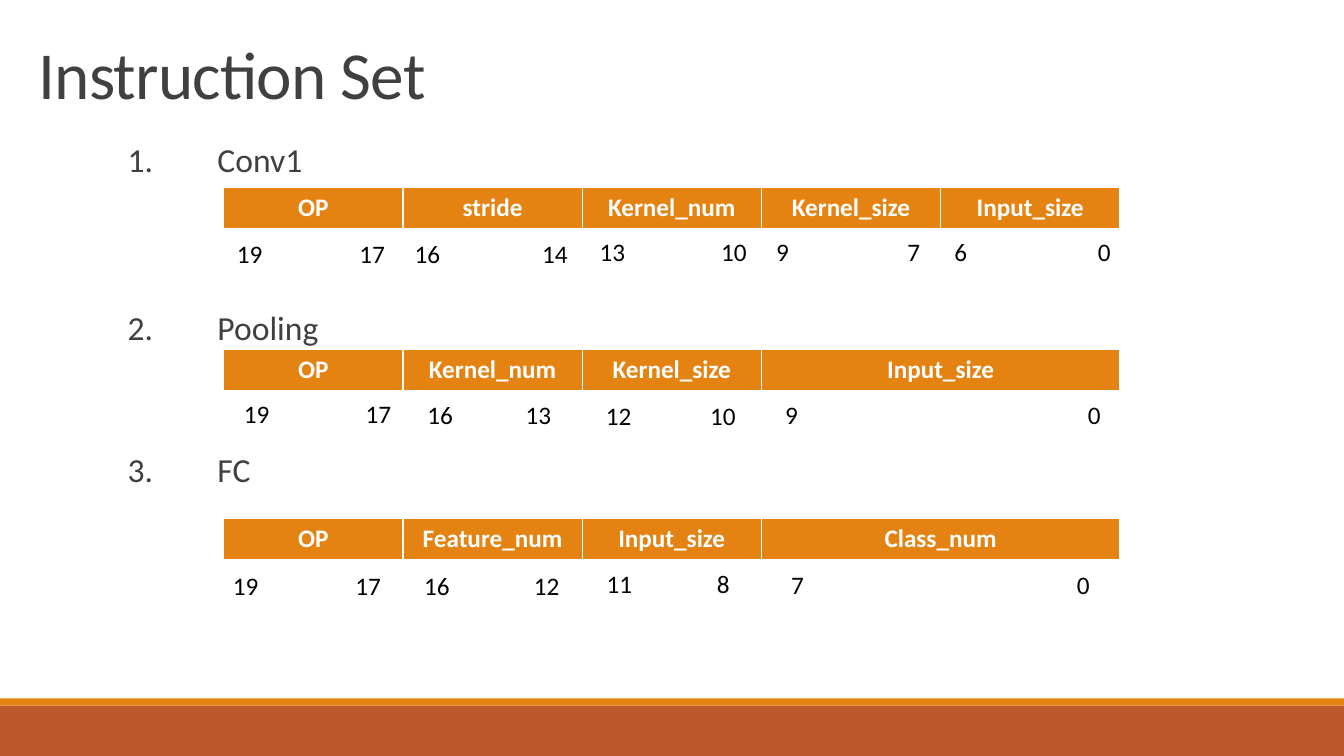
from dataclasses import dataclass

from lxml import etree
from pptx import Presentation
from pptx import util as u
from pptx.dml.color import RGBColor
from pptx.enum import shapes, text
from pptx.oxml.ns import qn


@dataclass(frozen=True)
class Theme:
    """Colours, font and type sizes of the deck."""
    accent: str = "E48312"
    footer: str = "BD582C"
    ink: str = "404040"
    bits: str = "000000"
    light: str = "FFFFFF"
    font: str = "Calibri"
    title_size: int = 48
    heading_size: int = 24
    field_size: int = 18


class SlideBuilder:
    """Holds the style and the current slide, and draws each kind of element."""

    def __init__(self, page, theme):
        self.page = page
        self.theme = theme

    def apply(self, target, **values):
        for name, value in values.items():
            setattr(target, name, value)

    def add_span(self, para, words, size, color, bold=False):
        span = para.add_run()
        span.text = words
        self.apply(span.font, name=self.theme.font, size=u.Pt(size), bold=bold)
        span.font.color.rgb = RGBColor.from_string(color)
        return span

    def title(self, words, left, top, width, height):
        box = self.page.shapes.title
        self.apply(box, left=u.Cm(left), top=u.Cm(top), width=u.Cm(width), height=u.Cm(height))
        self.apply(box.text_frame, word_wrap=True, vertical_anchor=text.MSO_ANCHOR.BOTTOM)
        para = box.text_frame.paragraphs[0]
        self.apply(para, alignment=text.PP_ALIGN.LEFT, line_spacing=0.85)
        span = self.add_span(para, words, self.theme.title_size, self.theme.ink)
        span.font._element.set("spc", "-50")

    def bar(self, top, height, color):
        bar = self.page.shapes.add_shape(
            shapes.MSO_SHAPE.RECTANGLE, 0, u.Cm(top), u.Cm(33.87), u.Cm(height))
        bar.shadow.inherit = False
        bar.fill.solid()
        bar.fill.fore_color.rgb = RGBColor.from_string(color)
        bar.line.fill.background()

    def text_box(self, left, top, width, height, **margins):
        box = self.page.shapes.add_textbox(u.Cm(left), u.Cm(top), u.Cm(width), u.Cm(height))
        self.apply(box.text_frame, word_wrap=True, **margins)
        return box.text_frame

    def headings(self, entries, left, top, width, height, hang):
        frame = self.text_box(left, top, width, height, margin_left=0, margin_right=0)
        for number, (words, gap) in enumerate(entries, 1):
            para = frame.paragraphs[0] if number == 1 else frame.add_paragraph()
            self.apply(para, line_spacing=0.9, space_before=u.Pt(gap), space_after=u.Pt(2))
            properties = para._p.get_or_add_pPr()
            properties.set("marL", str(u.Cm(hang)))
            properties.set("indent", str(-u.Cm(hang)))
            self.add_span(para, f"{number}.\t{words}", self.theme.heading_size, self.theme.ink)

    def field_table(self, names, left, top, width, height, units=5):
        frame = self.page.shapes.add_table(
            1, len(names), u.Cm(left), u.Cm(top), u.Cm(width), u.Cm(height))
        table = frame.table
        unit = width / units
        for index, name in enumerate(names):
            last = index == len(names) - 1
            table.columns[index].width = u.Cm(unit * (units - index if last else 1))
            cell = table.cell(0, index)
            cell.fill.solid()
            cell.fill.fore_color.rgb = RGBColor.from_string(self.theme.accent)
            para = cell.text_frame.paragraphs[0]
            para.alignment = text.PP_ALIGN.CENTER
            self.add_span(para, name, self.theme.field_size, self.theme.light, bold=True)

    def bit_range(self, high, low, start, end, top):
        inset = 0.25
        frame = self.text_box(start - inset, top, end - start + 3 * inset, 1.03,
                              margin_left=u.Cm(inset), margin_right=u.Cm(inset))
        para = frame.paragraphs[0]
        stops = etree.SubElement(para._p.get_or_add_pPr(), qn("a:tabLst"))
        etree.SubElement(stops, qn("a:tab"), pos=str(u.Cm(end - start)), algn="r")
        self.add_span(para, f"{high}\t{low}", self.theme.field_size, self.theme.bits)


HEADINGS = [("Conv1", 0), ("Pooling", 91.5), ("FC", 73.5)]

INSTRUCTIONS = [
    (4.72, [("OP", 19, 17, 5.97, 9.7, 5.87),
            ("stride", 16, 14, 10.45, 14.31, 5.87),
            ("Kernel_num", 13, 10, 15.11, 18.82, 5.84),
            ("Kernel_size", 9, 7, 19.56, 23.19, 5.84),
            ("Input_size", 6, 0, 24.05, 27.99, 5.84)]),
    (8.81, [("OP", 19, 17, 6.15, 9.86, 9.91),
            ("Kernel_num", 16, 13, 10.77, 13.89, 9.95),
            ("Kernel_size", 12, 10, 15.27, 18.54, 9.96),
            ("Input_size", 9, 0, 19.79, 27.74, 9.93)]),
    (13.06, [("OP", 19, 17, 5.87, 9.6, 14.25),
             ("Feature_num", 16, 12, 10.69, 14.1, 14.25),
             ("Input_size", 11, 8, 15.29, 18.39, 14.2),
             ("Class_num", 7, 0, 19.94, 27.46, 14.23)]),
]


def main():
    deck = Presentation()
    deck.slide_width, deck.slide_height = u.Cm(33.87), u.Cm(19.05)
    theme = Theme()
    slide = SlideBuilder(deck.slides.add_slide(deck.slide_layouts[5]), theme)
    slide.bar(17.78, 1.27, theme.footer)
    slide.bar(17.6, 0.18, theme.accent)
    slide.title("Instruction Set", 0.71, 0.46, 27.94, 2.51)
    slide.headings(HEADINGS, 3.22, 3.5, 27.7, 12.8, hang=2.26)
    for table_top, fields in INSTRUCTIONS:
        slide.field_table([field[0] for field in fields], 5.64, table_top, 22.58, 1.03)
        for name, *bits in fields:
            slide.bit_range(*bits)
    deck.save("out.pptx")


if __name__ == "__main__":
    main()
